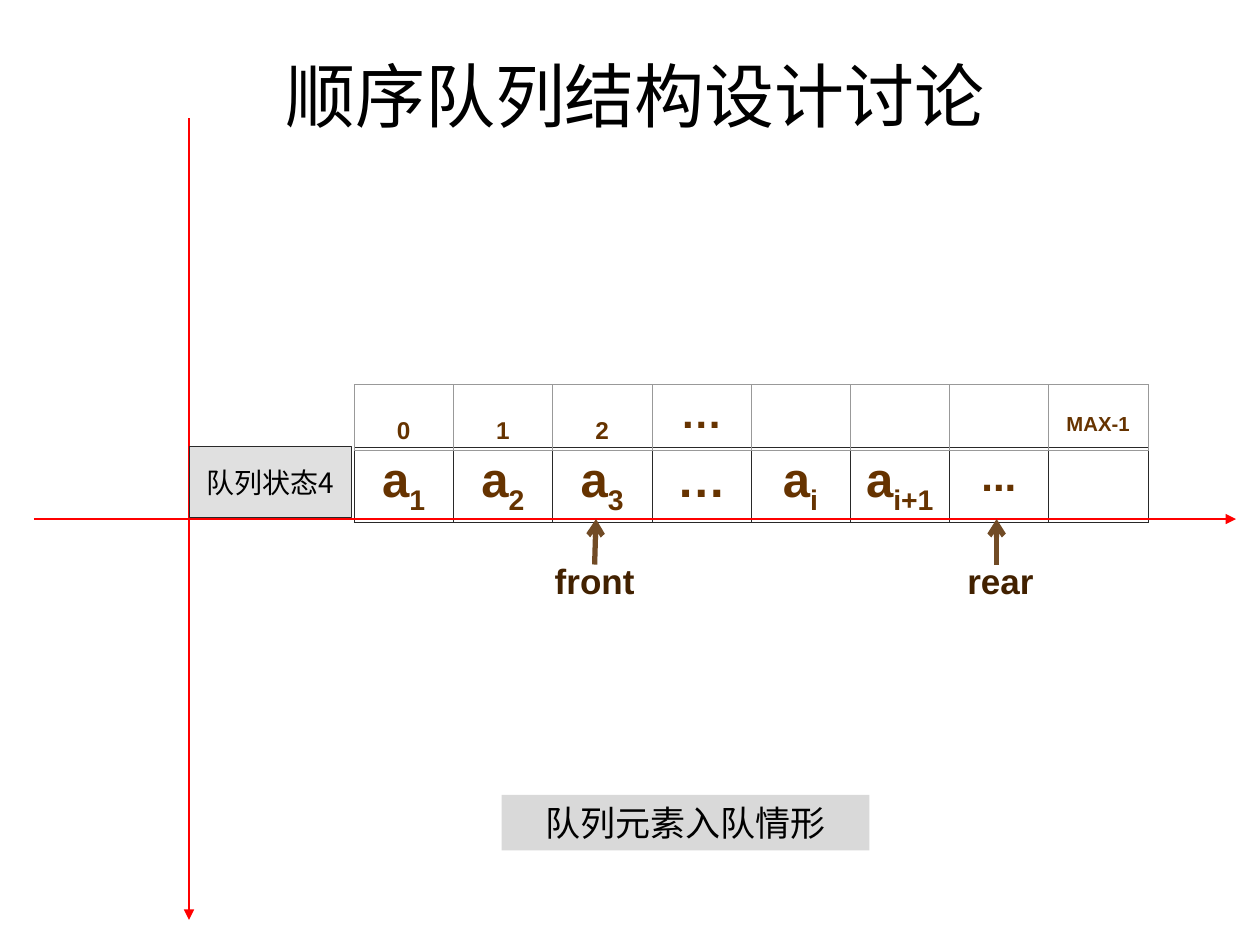
from dataclasses import dataclass
from typing import Any

from lxml.etree import SubElement as Sub
from pptx import Presentation as Deck
from pptx.dml.color import RGBColor as RGB
from pptx.enum.shapes import MSO_CONNECTOR as Link, MSO_SHAPE as Form
from pptx.enum.text import MSO_ANCHOR as Anchor, PP_ALIGN as Align
from pptx.oxml import parse_xml
from pptx.oxml.ns import nsdecls, qn
from pptx.util import Pt


def hue(code):
    return RGB.from_string(code)


def write(frame, text, size=20, font="Noto Sans CJK SC", color="000000",
          bold=False, anchor=Anchor.TOP, wrap=True):
    """Fill a frame with centred text; what follows an underscore is subscript."""
    frame.word_wrap = wrap
    frame.vertical_anchor = anchor
    para = frame.paragraphs[0]
    para.alignment = Align.CENTER
    for step, part in enumerate(text.split("_")):
        if not part:
            continue
        run = para.add_run()
        run.text = part
        run.font.size = Pt(size)
        run.font.name = font
        run.font.bold = bold
        run.font.color.rgb = hue(color)
        props = run.font._element
        Sub(props, qn("a:ea")).set("typeface", "Noto Sans CJK SC")
        if step:
            props.set("baseline", "-25000")


@dataclass
class Board:
    slide: Any
    latin: str = "Arial"
    brown: str = "663300"
    dark: str = "422100"
    shaft: str = "714B25"
    red: str = "FF0000"
    edge: str = "292929"

    def text(self, home, box, words, **form):
        area = home.shapes.add_textbox(*map(Pt, box))
        write(area.text_frame, words, **form)

    def rect(self, box, words, fill, line=None, **form):
        shape = self.slide.shapes.add_shape(Form.RECTANGLE, *map(Pt, box))
        shape.shadow.inherit = False
        shape.fill.solid()
        shape.fill.fore_color.rgb = hue(fill)
        if line:
            shape.line.color.rgb = hue(line)
            shape.line.width = Pt(0.5)
        else:
            shape.line.fill.background()
        write(shape.text_frame, words, anchor=Anchor.MIDDLE, **form)

    def arrow(self, home, ends, color, width, tip, kind):
        line = home.shapes.add_connector(Link.STRAIGHT, *map(Pt, ends))
        line.line.color.rgb = hue(color)
        line.line.width = Pt(width)
        Sub(line.line._get_or_add_ln(), qn(tip)).set("type", kind)
        Sub(line._element.spPr, qn("a:effectLst"))

    def axis(self, *ends):
        self.arrow(self.slide, ends, self.red, 0.75, "a:tailEnd", "triangle")

    def mark(self, left, width, top, foot, words):
        group = self.slide.shapes.add_group_shape()
        self.text(group, (left, 316, width, 31), words,
                  font=self.latin, color=self.dark, bold=True)
        self.arrow(group, (top, 296.6, foot, 322.6), self.shaft, 3,
                   "a:headEnd", "arrow")

    def frame(self, cell, color):
        cell.fill.background()
        props = cell._tc.get_or_add_tcPr()
        for spot, side in enumerate("LRTB"):
            props.insert(spot, parse_xml(
                f'<a:ln{side} {nsdecls("a")} w="{Pt(0.25)}"><a:solidFill>'
                f'<a:srgbClr val="{color}"/></a:solidFill></a:ln{side}>'))

    def row(self, top, high, line, items, size, odd):
        grid = self.slide.shapes.add_table(
            1, len(items), Pt(202.3), Pt(top), Pt(453.6), Pt(high)).table
        grid.first_row = grid.horz_banding = False
        grid.rows[0].height = Pt(high)
        for cell, words in zip(grid.rows[0].cells, items):
            self.frame(cell, line)
            if words:
                form = {"size": size, **odd.get(words, {})}
                write(cell.text_frame, words, font=self.latin,
                      color=self.brown, bold=True, **form)


def main():
    deck = Deck()
    deck.slide_width, deck.slide_height = Pt(720), Pt(540)
    slide = deck.slides.add_slide(deck.slide_layouts[6])
    board = Board(slide)

    board.row(255.6, 41, board.edge,
              ["a_1", "a_2", "a_3", "…", "a_i", "a_i+1", "...", ""], 28,
              {"a_i+1": {"anchor": Anchor.MIDDLE}, "...": {"size": 24}})
    board.row(219.6, 36, "999999",
              ["_0", "_1", "_2", "…", "", "", "", "_MAX-1"], 24,
              {"_MAX-1": {"size": 20, "anchor": Anchor.MIDDLE}})
    board.text(slide, (19.4, 26.6, 686.9, 55.4), "顺序队列结构设计讨论",
               size=40, font="Courier New", anchor=Anchor.MIDDLE)
    board.axis(108, 67.7, 108, 525.6)
    board.rect((286.6, 454.3, 210.2, 31.7), "队列元素入队情形", "D9D9D9")
    board.axis(19.4, 296.6, 706.3, 296.6)
    board.mark(303.1, 73.4, 340.6, 339.8, "front")
    board.mark(535.7, 72, 569.5, 569.5, "rear")
    board.rect((108, 254.9, 92.9, 41), "队列状态4", "E0E0E0", board.edge,
               size=16, wrap=False)
    deck.save("out.pptx")


if __name__ == "__main__":
    main()
